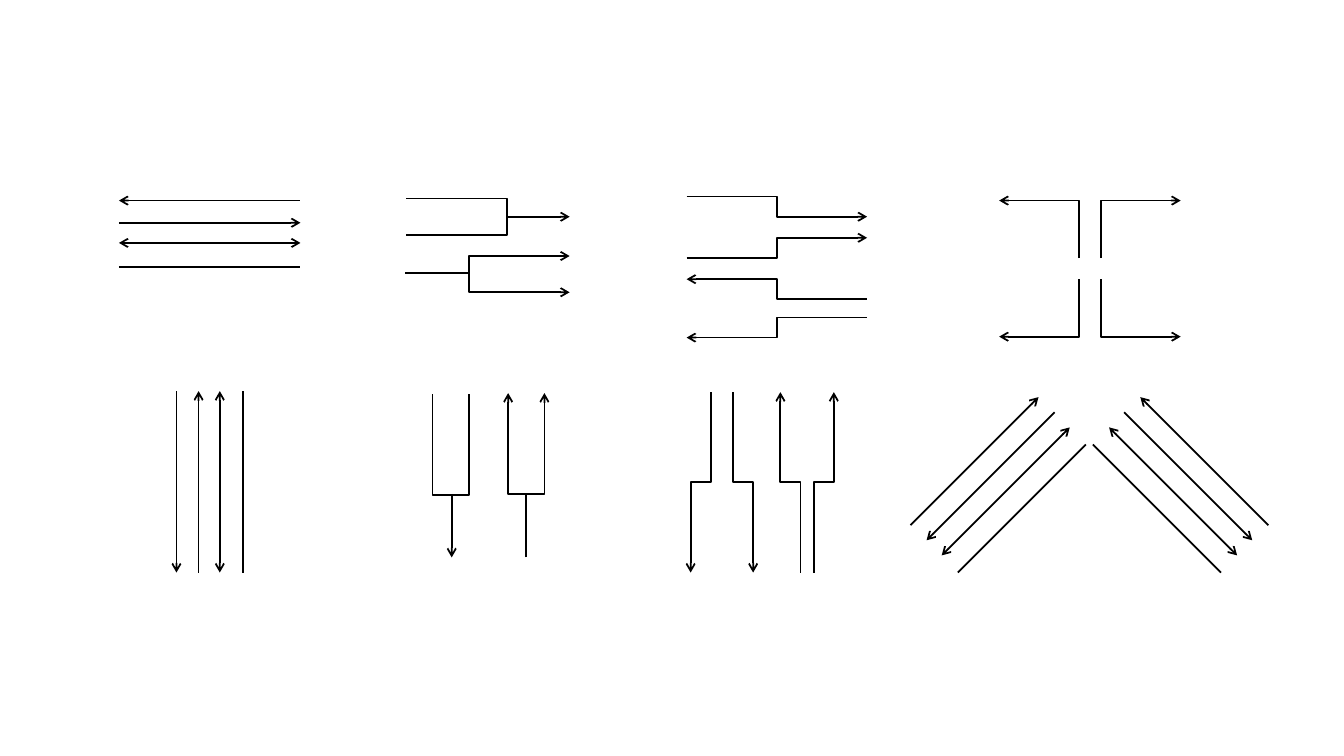
from lxml import etree
from pptx import Presentation
from pptx import util as u
from pptx.dml.color import RGBColor
from pptx.enum import shapes
from pptx.oxml import ns

COLORS = {"ink": "000000"}
ELBOW, STRAIGHT = shapes.MSO_CONNECTOR.ELBOW, shapes.MSO_CONNECTOR.STRAIGHT

prs = Presentation()
prs.slide_width, prs.slide_height = u.Inches(13.33), u.Inches(7.5)
slide = prs.slides.add_slide(prs.slide_layouts[6])


def ink(stroke, ends):
    """Style a stroke; ends names its arrowheads: head, tail, both or none."""
    stroke.line.color.rgb = RGBColor.from_string(COLORS["ink"])
    stroke.line.width = u.Pt(1.25)
    for end in ("head", "tail"):
        if ends in (end, "both"):
            etree.SubElement(stroke.get_or_add_ln(), ns.qn(f"a:{end}End"), type="arrow")
    etree.SubElement(stroke._element.spPr, ns.qn("a:effectLst"))
    return stroke


def draw(*points, ends="none", kind=STRAIGHT):
    """Join two points with a connector, or more points with an open outline."""
    corners = [(u.Inches(x), u.Inches(y)) for x, y in points]
    if len(corners) == 2:
        return ink(slide.shapes.add_connector(kind, *corners[0], *corners[1]), ends)
    builder = slide.shapes.build_freeform(*corners[0])
    builder.add_line_segments(corners[1:], close=False)
    outline = builder.convert_to_shape()
    outline.fill.background()
    return ink(outline, ends)


# Straight arrows: horizontal, vertical and both diagonals
styles = ("head", "tail", "both", "none")
rows = (1.99, 2.21, 2.41, 2.65)
columns = (1.75, 1.97, 2.18, 2.41)
diagonals = ((10.3, 3.94), (10.46, 4.09), (10.61, 4.24), (10.77, 4.41))
mirror, reach = 21.61, 1.27
for ends, row, column, (x, y) in zip(styles, rows, columns, diagonals):
    draw((1.18, row), (2.98, row), ends=ends)
    draw((column, 5.68), (column, 3.88), ends=ends)
    draw((x, y), (x - reach, y + reach), ends=ends)
    draw((mirror - x, y), (mirror - x + reach, y + reach), ends=ends)

# Horizontal stepped arrows
for start, finish, ends in ((1.95, 2.15, "tail"), (2.56, 2.36, "tail"),
                            (2.77, 2.97, "head"), (3.35, 3.15, "head")):
    draw((6.81, start), (8.6, finish), ends=ends, kind=ELBOW)

# Vertical stepped arrows: elbows leave sideways, so each is turned a quarter
top, bottom = 3.89, 5.68
middle, half = (top + bottom) / 2, (bottom - top) / 2
for start, finish, ends in ((7.05, 6.85, "tail"), (7.27, 7.47, "tail"),
                            (8.27, 8.07, "head"), (7.74, 7.94, "head")):
    center, shift = (start + finish) / 2, (finish - start) / 2
    step = draw((center - half, middle + shift), (center + half, middle - shift),
                ends=ends, kind=ELBOW)
    step._element.spPr.find(ns.qn("a:xfrm")).set("rot", str(90 * 60000))

# Corner arrows
for inner_x, outer_x in ((10.92, 11.71), (10.7, 9.91)):
    for inner_y, outer_y in ((2.56, 1.99), (2.77, 3.34)):
        draw((inner_x, inner_y), (inner_x, outer_y), (outer_x, outer_y), ends="tail")

# Merging and splitting arrows: a bracket with its stem
forks = (
    (((4.03, 1.97), (5.03, 1.97), (5.03, 2.33), (4.03, 2.33)), "none",
     ((5.03, 2.15), (5.65, 2.15)), "tail"),
    (((5.65, 2.9), (4.65, 2.9), (4.65, 2.54), (5.65, 2.54)), "both",
     ((4.02, 2.71), (4.65, 2.71)), "none"),
    (((4.65, 3.91), (4.65, 4.91), (4.29, 4.91), (4.29, 3.91)), "none",
     ((4.48, 4.9), (4.48, 5.53)), "tail"),
    (((5.4, 3.9), (5.4, 4.9), (5.04, 4.9), (5.04, 3.9)), "both",
     ((5.22, 5.53), (5.22, 4.9)), "none"),
)
for bracket, bracket_ends, stem, stem_ends in forks:
    slide.shapes.add_group_shape([draw(*bracket, ends=bracket_ends),
                                  draw(*stem, ends=stem_ends)])

prs.save("out.pptx")
